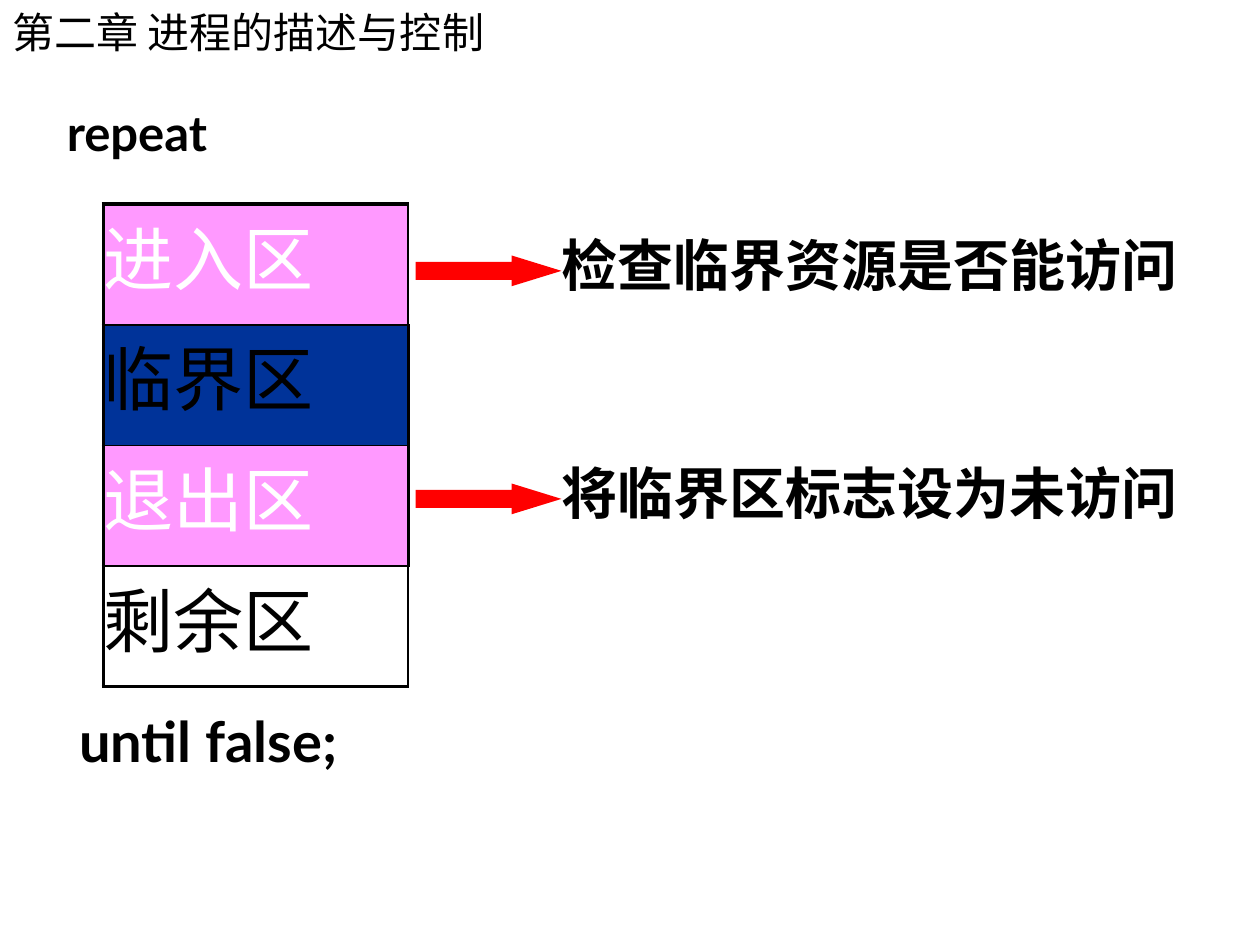
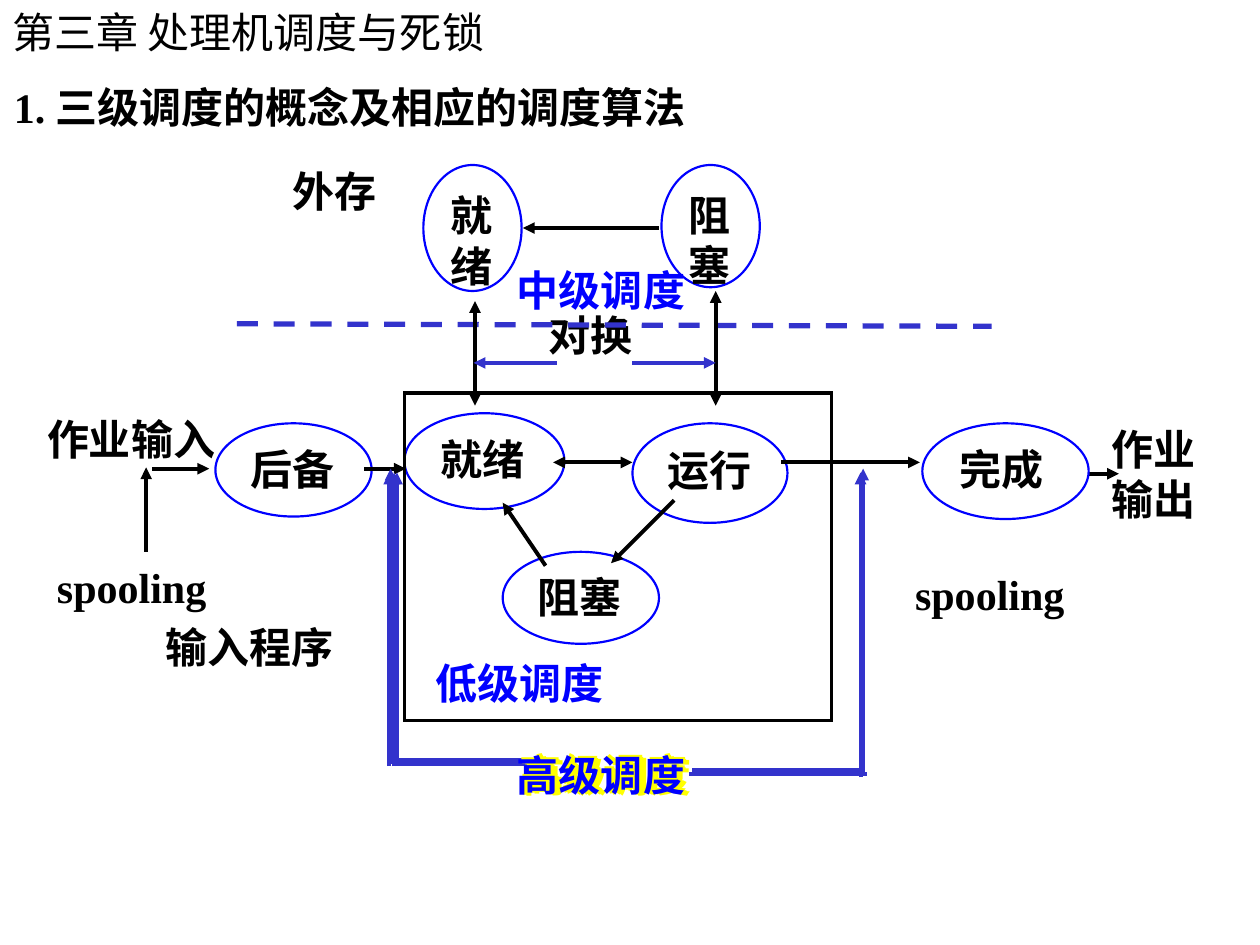
from dataclasses import dataclass

from lxml import etree
from pptx import Presentation
from pptx import util as u
from pptx.dml.color import RGBColor
from pptx.enum import dml, shapes
from pptx.enum import text as txt
from pptx.oxml import ns


@dataclass(frozen=True)
class Theme:
    black: str = "000000"
    white: str = "FFFFFF"
    pink: str = "FF99FF"
    navy: str = "003399"
    red: str = "FF0000"
    blue: str = "0000FF"
    indigo: str = "3333CC"
    yellow: str = "FFFF00"
    cjk: str = "Noto Sans CJK SC"
    serif: str = "Times New Roman"
    code: str = "Lato"
    note: str = "DejaVu Sans"
    normal: int = 24
    keyword: int = 28
    large: int = 32
    zone: int = 40
    thin: float = 1
    outline: float = 1.25
    frame: float = 2
    line: float = 2.25
    dashed: float = 3
    arrow: float = 4.5


T = Theme()

# Slide 1: zone name, text colour, fill
ZONES = [
    ("进入区", T.white, T.pink),
    ("临界区", T.black, T.navy),
    ("退出区", T.white, T.pink),
    ("剩余区", T.black, None),
]
ZONE_AREA = (0.82, 1.62, 2.42, 3.83)
# Note, top of its arrow
ZONE_NOTES = [("检查临界资源是否能访问", 2.07), ("将临界区标志设为未访问", 3.88)]

# Slide 2: text, (left, top, width, height)
STATES = [
    ("就绪", (3.36, 1.31, 0.78, 1)),
    ("阻塞", (5.25, 1.31, 0.78, 0.97)),
    ("就绪", (3.21, 3.28, 1.27, 0.76)),
    ("运行", (5.02, 3.36, 1.23, 0.79)),
    ("完成", (7.32, 3.36, 1.32, 0.76)),
    ("阻塞", (3.99, 4.38, 1.24, 0.73)),
    ("后备", (1.71, 3.36, 1.24, 0.74)),
]
LABELS = [
    ("外存", (2.31, 1.31, 0.69, 0.4), T.cjk),
    ("对换", (4.34, 2.46, 0.69, 0.4), T.cjk),
    ("作业输入", (0.34, 3.28, 1.4, 0.4), T.cjk),
    ("spooling", (0.45, 4.46, 1.19, 0.4), T.serif),
    ("输入程序", (1.28, 4.93, 1.4, 0.4), T.cjk),
    ("spooling", (7.26, 4.51, 1.19, 0.4), T.serif),
]
PROCESS_FRAME = (3.21, 3.12, 3.39, 2.6)
JOB_ARROWS = [((1.21, 3.72), (1.66, 3.72)), ((8.27, 3.76), (8.88, 3.76))]
# Start, end, arrow at both ends
TRANSITIONS = [
    ((1.16, 4.38), (1.16, 3.71), False),
    ((3.77, 2.39), (3.77, 3.22), True),
    ((5.68, 2.31), (5.68, 3.22), True),
    ((5.23, 1.81), (4.15, 1.81), False),
    ((6.2, 3.67), (7.3, 3.67), False),
    ((5.02, 3.67), (4.39, 3.67), True),
    ((2.89, 3.72), (3.22, 3.72), False),
    ((4.33, 4.49), (3.99, 3.99), False),
    ((5.35, 3.97), (4.85, 4.47), False),
]
SWAP_ARROWS = [((4.42, 2.88), (3.76, 2.88)), ((5.02, 2.88), (5.68, 2.88))]
MEMORY_BORDER = ((1.88, 2.57), (7.87, 2.59))
# High-level scheduling: several close lines form each thick branch
RISERS = [
    (3.1, 6.06, 3.72), (3.15, 6.08, 3.75), (3.13, 6.08, 3.75),
    (3.09, 6.08, 3.75), (6.85, 6.14, 3.72), (6.83, 6.17, 3.75),
]
FEET = [
    (3.13, 6.03, 1.08), (3.15, 6.06, 1.08), (3.17, 6.06, 1.08),
    (3.14, 6.03, 1.08), (3.12, 6.05, 1.08),
    (6.88, 6.14, -1.36), (6.85, 6.11, -1.36), (6.83, 6.14, -1.36),
]
HIGH_LEVEL_GLOW = [(4.13, 5.95), (4.15, 5.96), (4.12, 5.93)]
HIGH_LEVEL_SPOT = (4.1, 5.95)


def inches(values):
    return [u.Inches(value) for value in values]


def rgb(color):
    return RGBColor.from_string(color)


def write(frame, words, size=T.normal, font=T.cjk, color=T.black, bold=True,
          align=txt.PP_ALIGN.LEFT, before=0.0, anchor=txt.MSO_ANCHOR.TOP):
    """Put one formatted paragraph in a frame; before is a share of the size."""
    frame.vertical_anchor = anchor
    para = frame.paragraphs[0]
    para.alignment = align
    para.space_before = u.Pt(size * before)
    span = para.add_run()
    span.text = words
    span.font.size = u.Pt(size)
    span.font.name = font
    span.font.bold = bold
    span.font.color.rgb = rgb(color)
    latin = span.font._element.find(ns.qn("a:latin"))
    east = etree.Element(ns.qn("a:ea"), typeface=T.cjk)
    latin.addnext(east)


def add_text(page, words, area, wrap=False, inset=True, **style):
    frame = page.shapes.add_textbox(*inches(area)).text_frame
    frame.word_wrap = wrap
    frame.auto_size = txt.MSO_AUTO_SIZE.SHAPE_TO_FIT_TEXT
    if not inset:
        frame.margin_left = frame.margin_right = 0
        frame.margin_top = frame.margin_bottom = 0
    write(frame, words, **style)


def add_label(page, words, area, **style):
    add_text(page, words, area, inset=False, align=txt.PP_ALIGN.CENTER, **style)


def add_figure(page, kind, area, fill, line, width):
    figure = page.shapes.add_shape(kind, *inches(area))
    figure.shadow.inherit = False
    if fill:
        figure.fill.solid()
        figure.fill.fore_color.rgb = rgb(fill)
    else:
        figure.fill.background()
    figure.line.color.rgb = rgb(line)
    figure.line.width = u.Pt(width)
    outline = figure._element.spPr.find(ns.qn("a:ln"))
    etree.SubElement(outline, ns.qn("a:miter"), lim="800000")
    return figure


def add_line(page, start, end, color=T.black, width=T.line, arrow=True,
             both=False, dash=None):
    link = page.shapes.add_connector(
        shapes.MSO_CONNECTOR.STRAIGHT, *inches(start + end))
    link.line.color.rgb = rgb(color)
    link.line.width = u.Pt(width)
    if dash:
        link.line.dash_style = dash
    properties = link._element.spPr
    outline = properties.find(ns.qn("a:ln"))
    if both:
        etree.SubElement(outline, ns.qn("a:headEnd"), type="triangle")
    if arrow:
        etree.SubElement(outline, ns.qn("a:tailEnd"), type="triangle")
    etree.SubElement(properties, ns.qn("a:effectLst"))


def place(holder, area):
    holder.left, holder.top, holder.width, holder.height = inches(area)
    holder.text_frame.auto_size = txt.MSO_AUTO_SIZE.NONE
    return holder.text_frame


def add_page(deck, chapter, heading, area, **style):
    """Add a slide with its chapter title and one unbulleted body line."""
    page = deck.slides.add_slide(deck.slide_layouts[1])
    write(place(page.shapes.title, (0, 0, 10, 0.5)), chapter, bold=False,
          anchor=txt.MSO_ANCHOR.MIDDLE)
    frame = place(page.placeholders[1], area)
    write(frame, heading, before=0.2, **style)
    properties = frame.paragraphs[0]._p.get_or_add_pPr()
    properties.set("marL", "0")
    properties.set("indent", "0")
    etree.SubElement(properties, ns.qn("a:buNone"))
    return page


def set_borders(cell, **widths):
    properties = cell._tc.get_or_add_tcPr()
    for index, side in enumerate(("L", "R", "T", "B")):
        edge = etree.Element(ns.qn("a:ln" + side), w=str(u.Pt(widths[side])))
        fill = etree.SubElement(edge, ns.qn("a:solidFill"))
        etree.SubElement(fill, ns.qn("a:srgbClr"), val=T.black)
        properties.insert(index, edge)


def add_zone_table(page):
    grid = page.shapes.add_table(len(ZONES), 1, *inches(ZONE_AREA)).table
    grid.first_row = grid.horz_banding = False
    last = len(ZONES) - 1
    for row, (name, color, fill) in enumerate(ZONES):
        cell = grid.cell(row, 0)
        cell.margin_left = cell.margin_right = 0
        cell.margin_top = cell.margin_bottom = 0
        write(cell.text_frame, name, size=T.zone, color=color, bold=False,
              before=0.2)
        if fill:
            cell.fill.solid()
            cell.fill.fore_color.rgb = rgb(fill)
        else:
            cell.fill.background()
        set_borders(cell, L=T.line,
                    R=T.thin if row in (0, last) else T.line,
                    T=T.line if row == 0 else T.thin,
                    B=T.line if row == last else T.thin)


def build_critical_section(deck):
    page = add_page(deck, "第二章 进程的描述与控制", "repeat",
                    (0.43, 0.76, 9.57, 6.24), size=T.keyword, font=T.code)
    add_zone_table(page)
    for note, top in ZONE_NOTES:
        arrow = add_figure(page, shapes.MSO_SHAPE.RIGHT_ARROW,
                           (3.33, top, 1.02, 0.16), T.red, T.red, T.arrow)
        arrow.adjustments[1] = 1.62
        add_text(page, note, (4.35, top - 0.29, 5.11, 0.63), size=T.large,
                 font=T.note, align=txt.PP_ALIGN.CENTER, before=0.2)
    add_text(page, "until false;", (0.53, 5.56, 2.74, 0.63), size=T.large,
             font=T.code, before=0.2)


def build_scheduling(deck):
    page = add_page(deck, "第三章 处理机调度与死锁",
                    "1. 三级调度的概念及相应的调度算法", (0.01, 0.6, 10, 0.5),
                    font=T.serif, align=txt.PP_ALIGN.JUSTIFY)
    for words, area, font in LABELS:
        add_label(page, words, area, font=font)
    add_label(page, "作业输出", (8.81, 3.36, 0.69, 0.8), wrap=True)
    for start, end in JOB_ARROWS:
        add_line(page, start, end)
    for name, area in STATES:
        state = add_figure(page, shapes.MSO_SHAPE.OVAL, area, T.white, T.blue,
                           T.outline)
        write(state.text_frame, name)
    add_figure(page, shapes.MSO_SHAPE.RECTANGLE, PROCESS_FRAME, None, T.black,
               T.frame)
    add_line(page, *MEMORY_BORDER, color=T.indigo, width=T.dashed, arrow=False,
             dash=dml.MSO_LINE.DASH)
    for start, end, both in TRANSITIONS:
        add_line(page, start, end, both=both)
    for start, end in SWAP_ARROWS:
        add_line(page, start, end, color=T.indigo)
    for x, bottom, top in RISERS:
        add_line(page, (x, bottom), (x, top), color=T.indigo)
    for x, y, reach in FEET:
        add_line(page, (x, y), (x + reach, y), color=T.indigo, arrow=False)
    add_label(page, "中级调度", (4.1, 2.1, 1.34, 0.4), color=T.blue)
    add_text(page, "低级调度", (3.36, 5.17, 1.54, 0.5), color=T.blue)
    for spot in HIGH_LEVEL_GLOW + [HIGH_LEVEL_SPOT]:
        color = T.blue if spot == HIGH_LEVEL_SPOT else T.yellow
        add_label(page, "高级调度", spot + (1.34, 0.4), color=color)


def main():
    deck = Presentation()
    deck.slide_width, deck.slide_height = inches((10, 7.5))
    build_critical_section(deck)
    build_scheduling(deck)
    deck.save("out.pptx")


if __name__ == "__main__":
    main()
